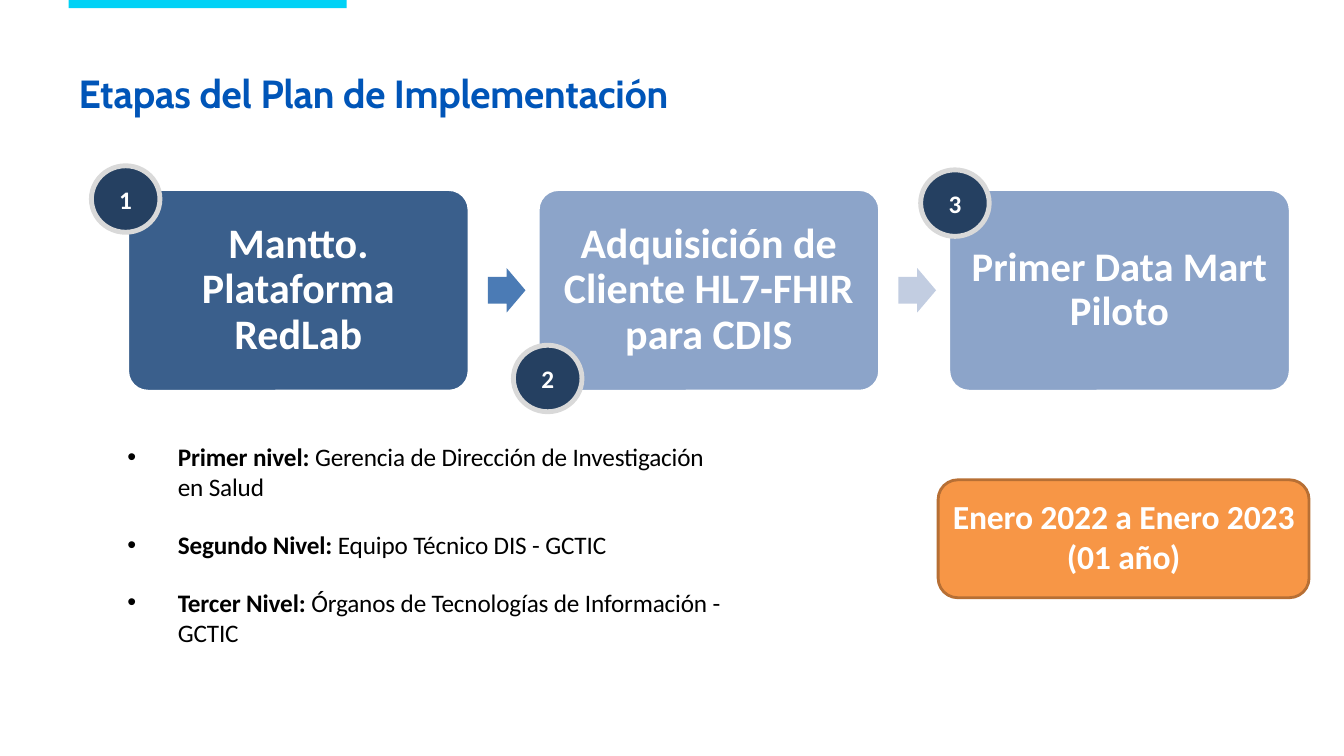
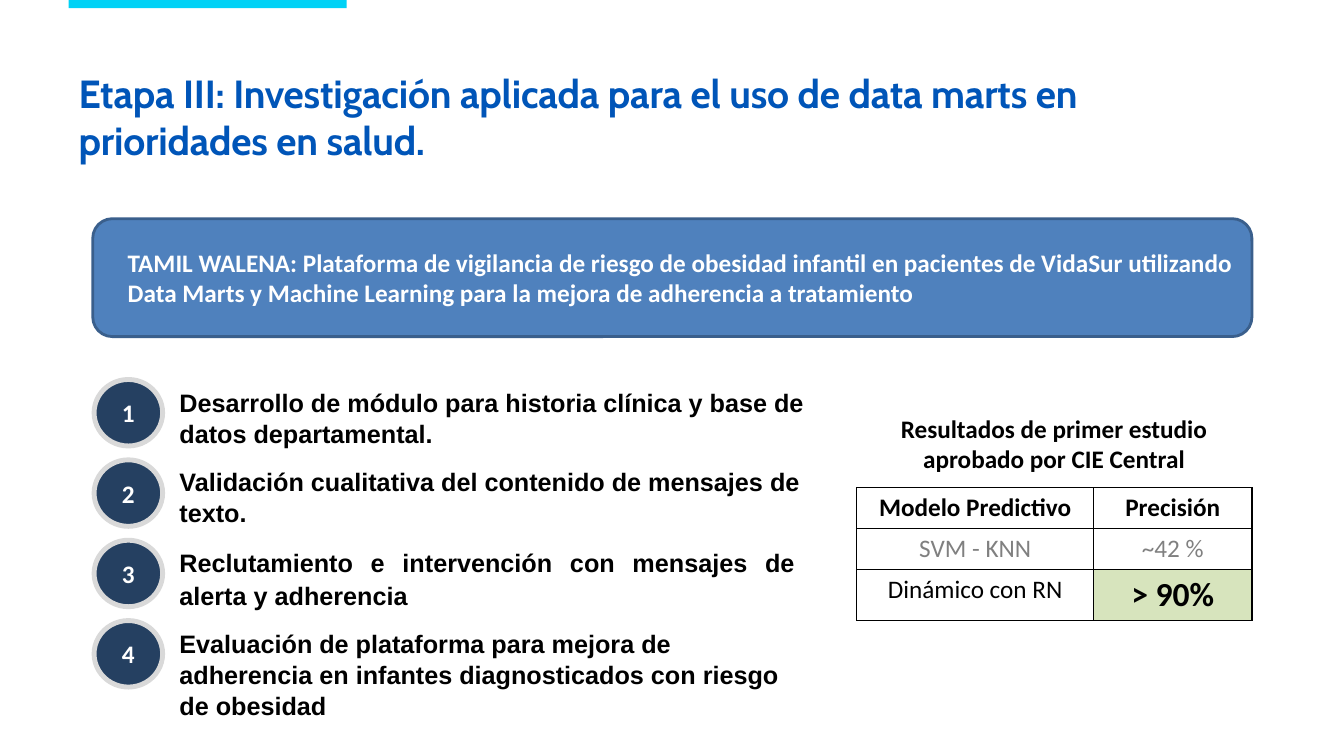
from pptx import Presentation
from pptx import util as u
from pptx.dml.color import RGBColor
from pptx.enum import shapes, text
from pptx.oxml import parse_xml
from pptx.oxml import ns


class Theme:
    cyan, title_blue, navy, ring = "00D2F6", "0055B8", "254061", "D9D9D9"
    deep_blue, pale_blue, banner_blue = "3A5F8C", "8CA4C9", "4F81BD"
    arrow_blue, arrow_pale = "4B7BB5", "C2CDE1"
    orange, orange_edge, green = "F79646", "B76F34", "D7E4BD"
    black, grey, white = "000000", "808080", "FFFFFF"
    title_font, text_font, list_font = "Cabin", "Calibri", "Arial"
    title_size, stage_size, strong_size, text_size = 28, 30, 24, 18


SHAPE, ALIGN, ANCHOR = shapes.MSO_SHAPE, text.PP_ALIGN, text.MSO_ANCHOR

deck = Presentation()
deck.slide_width, deck.slide_height = u.Inches(13.33), u.Inches(7.5)
col, row = deck.slide_width / 100, deck.slide_height / 100


def put(item, x, y, w, h, fill=None, line=None, weight=2):
    item.left, item.top = int(x * col), int(y * row)
    item.width, item.height = int(w * col), int(h * row)
    if fill:
        item.shadow.inherit = False
        item.fill.solid()
        item.fill.fore_color.rgb = RGBColor.from_string(fill)
        if line:
            item.line.color.rgb = RGBColor.from_string(line)
            item.line.width = u.Pt(weight)
        else:
            item.line.fill.background()
    return item


def write(frame, *paragraphs, font=Theme.text_font, size=Theme.text_size, color=Theme.black,
          bold=True, align=ALIGN.LEFT, anchor=ANCHOR.TOP, insets=(0.1, 0.05, 0.1, 0.05),
          leading=1.0, gap=0, indent=(0, 0), bullet=False, tracking=0):
    frame.word_wrap, frame.vertical_anchor = True, anchor
    frame.auto_size = text.MSO_AUTO_SIZE.NONE
    (frame.margin_left, frame.margin_top,
     frame.margin_right, frame.margin_bottom) = [u.Inches(i) for i in insets]
    for index, content in enumerate(paragraphs):
        para = frame.add_paragraph() if index else frame.paragraphs[0]
        para.alignment, para.line_spacing = align, leading
        para.space_before = u.Pt(gap if index else 0)
        props = para._p.get_or_add_pPr()
        props.set("marL", str(u.Inches(indent[0])))
        props.set("indent", str(u.Inches(indent[1])))
        mark = '<a:buChar %s char="•"/>' if bullet else "<a:buNone %s/>"
        props.append(parse_xml(mark % ns.nsdecls("a")))
        pieces = [(content, bold)] if isinstance(content, str) else content
        for words, strong in pieces:
            run = para.add_run()
            run.text = words
            run.font.name, run.font.size, run.font.bold = font, u.Pt(size), strong
            run.font.color.rgb = RGBColor.from_string(color)
            if tracking:
                run._r.get_or_add_rPr().set("spc", str(int(tracking * 100)))


layout = deck.slide_layouts[1]
put(layout.placeholders[0], 5.85, 9.07, 88, 12.8)

titles = [
    "Etapas del Plan de Implementación",
    "Etapa III: Investigación aplicada para el uso de data marts en prioridades en salud.",
]
for heading in titles:
    slide = deck.slides.add_slide(layout)
    write(slide.shapes.title.text_frame, heading, font=Theme.title_font,
          size=Theme.title_size, color=Theme.title_blue, insets=(0, 0.01, 0, 0), tracking=-0.1)
plan, study = deck.slides

band = put(plan.shapes.add_shape(SHAPE.RECTANGLE, 0, 0, 0, 0), 5.1, 0, 20.7, 1.07, Theme.cyan)
deck.slide_master.shapes._spTree.append(band._element)

stages = [
    ("Mantto. Plataforma RedLab", Theme.deep_blue, Theme.arrow_blue, 30),
    ("Adquisición de Cliente HL7-FHIR para CDIS", Theme.pale_blue, Theme.arrow_pale, 30),
    ("Primer Data Mart Piloto", Theme.pale_blue, None, 29),
]
for index, (label, fill, arrow_fill, size) in enumerate(stages):
    left = 9.5 + 30.55 * index
    stage = put(plan.shapes.add_shape(SHAPE.ROUNDED_RECTANGLE, 0, 0, 0, 0),
                left, 25.07, 25.4, 26.67, fill, Theme.white)
    stage.adjustments[0] = 0.1
    write(stage.text_frame, label, size=size, color=Theme.white, align=ALIGN.CENTER,
          anchor=ANCHOR.MIDDLE, insets=[0.12] * 4, leading=0.9)
    if arrow_fill:
        arrow = put(plan.shapes.add_shape(SHAPE.RIGHT_ARROW, 0, 0, 0, 0),
                    left + 26.8, 35.47, 2.8, 5.87, arrow_fill)
        arrow.adjustments[0], arrow.adjustments[1] = 0.6, 0.5

period = put(plan.shapes.add_shape(SHAPE.ROUNDED_RECTANGLE, 0, 0, 0, 0),
             69.8, 63.47, 27.6, 15.6, Theme.orange, Theme.orange_edge)
write(period.text_frame, "Enero 2022 a Enero 2023 (01 año)", size=Theme.strong_size,
      color=Theme.white, align=ALIGN.CENTER, anchor=ANCHOR.MIDDLE,
      insets=(0, 0, 0, 0.05), tracking=-0.1)

levels = put(plan.placeholders[1], 5.2, 57.73, 50, 29.07)
write(levels.text_frame,
      [("Primer nivel: ", True), ("Gerencia de Dirección de Investigación en Salud", False)],
      [("Segundo Nivel: ", True), ("Equipo Técnico DIS - GCTIC", False)],
      [("Tercer Nivel: ", True), ("Órganos de Tecnologías de Información - GCTIC", False)],
      gap=19.6, indent=(0.97, -0.5), bullet=True, tracking=-0.1)

project = put(study.shapes.add_shape(SHAPE.ROUNDED_RECTANGLE, 0, 0, 0, 0),
              6.9, 28.93, 86.25, 15.6, Theme.banner_blue, Theme.deep_blue)
write(project.text_frame,
      "TAMIL WALENA: Plataforma de vigilancia de riesgo de obesidad infantil en pacientes de "
      "VidaSur utilizando Data Marts y Machine Learning para la mejora de adherencia a tratamiento",
      color=Theme.white, anchor=ANCHOR.MIDDLE, insets=(0.29, 0.05, 0.04, 0.05))

tasks = put(study.placeholders[1], 12.6, 50.53, 50, 41.3)
write(tasks.text_frame,
      "Desarrollo de módulo para historia clínica y base de datos departamental.",
      "Validación cualitativa del contenido de mensajes de texto.",
      "Reclutamiento e intervención con mensajes de alerta y adherencia",
      "Evaluación de plataforma para mejora de adherencia en infantes diagnosticados "
      "con riesgo de obesidad",
      font=Theme.list_font, leading=u.Pt(22), gap=12.4)
recruitment = tasks.text_frame.paragraphs[2]
recruitment.alignment, recruitment.line_spacing = ALIGN.JUSTIFY, u.Pt(23.5)
recruitment._p.get_or_add_pPr().set("marR", str(u.Inches(0.36)))

badges = [(plan, 1, 6.8, 21.93), (plan, 3, 68.5, 22.47), (plan, 2, 38.2, 45.67)]
badges += [(study, n + 1, 7, 50.2 + 10.63 * n) for n in range(4)]
for slide, number, x, y in badges:
    badge = put(slide.shapes.add_shape(SHAPE.OVAL, 0, 0, 0, 0),
                x, y, 5.1, 8.8, Theme.navy, Theme.ring, 3.5)
    write(badge.text_frame, str(number), color=Theme.white, align=ALIGN.CENTER,
          anchor=ANCHOR.MIDDLE, insets=[0] * 4)

caption = put(study.shapes.add_textbox(0, 0, 0, 0), 65, 54, 26.85, 9.47)
write(caption.text_frame, "Resultados de primer estudio aprobado por CIE Central",
      align=ALIGN.CENTER)

results = [
    [("Modelo Predictivo", {}), ("Precisión", {})],
    [("SVM - KNN", dict(color=Theme.grey, bold=False)),
     ("~42 %", dict(color=Theme.grey, bold=False))],
    [("Dinámico con RN", dict(bold=False)), ("> 90%", dict(size=Theme.strong_size))],
]
grid = put(study.shapes.add_table(3, 2, 0, 0, 0, 0), 63.75, 64.53, 29.4, 17.47).table
grid.first_row = grid.horz_banding = False
for column, share in zip(grid.columns, (17.62, 11.78)):
    column.width = int(share * col)
for line, share in zip(grid.rows, (5.4, 5.4, 6.67)):
    line.height = int(share * row)
for r, record in enumerate(results):
    for c, (value, style) in enumerate(record):
        cell = grid.cell(r, c)
        props = cell._tc.get_or_add_tcPr()
        for side in ("lnL", "lnR", "lnT", "lnB"):
            props.append(parse_xml(
                f'<a:{side} {ns.nsdecls("a")} w="12700"><a:solidFill>'
                f'<a:srgbClr val="{Theme.black}"/></a:solidFill></a:{side}>'))
        cell.fill.solid()
        cell.fill.fore_color.rgb = RGBColor.from_string(
            Theme.green if (r, c) == (2, 1) else Theme.white)
        write(cell.text_frame, value, align=ALIGN.CENTER, **style)

deck.save("out.pptx")
